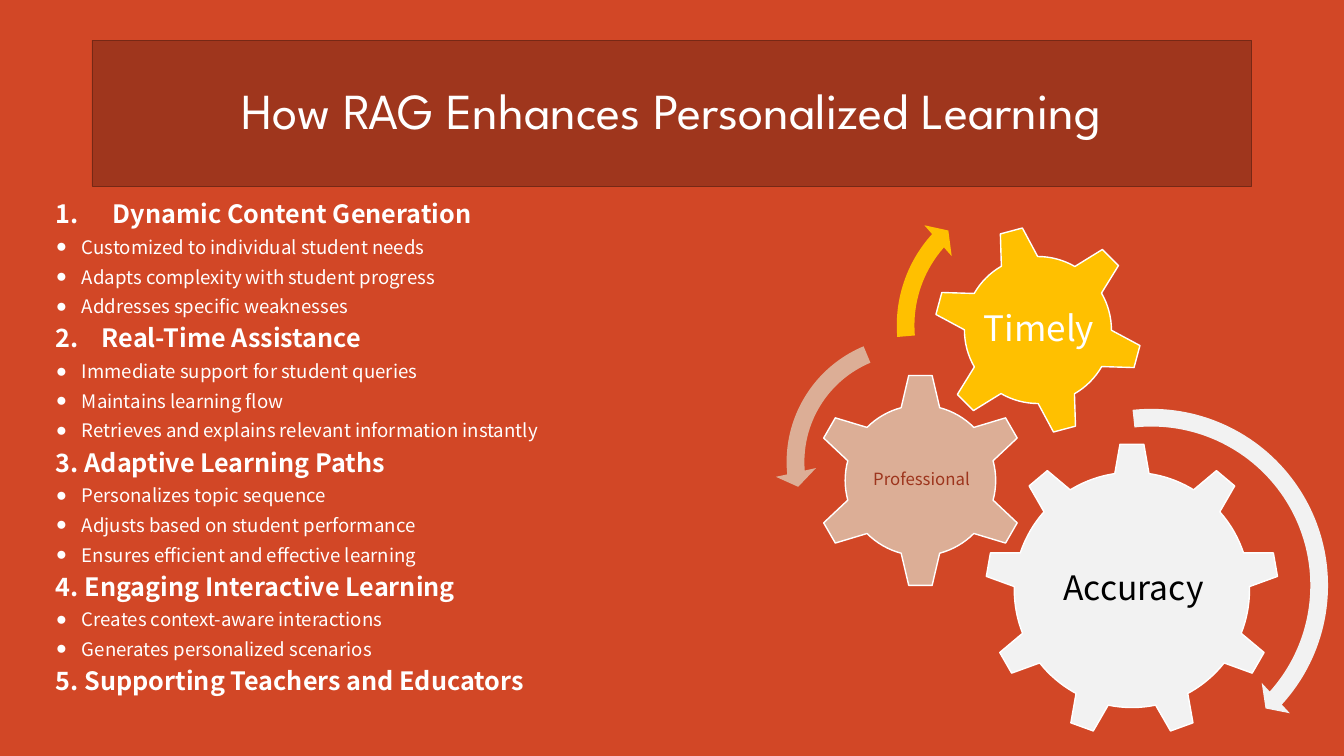
from lxml import etree
from pptx import Presentation
from pptx.dml.color import RGBColor
from pptx.enum.shapes import MSO_SHAPE as SHAPE
from pptx.enum.text import MSO_ANCHOR as ANCHOR, PP_ALIGN as ALIGN
from pptx.oxml.ns import qn
from pptx.util import Emu, Pt

PX = 12192000 / 1344  # EMU per px

ORANGE = RGBColor(0xD2, 0x47, 0x26)
BRICK = RGBColor(0x9F, 0x36, 0x1D)
BRICK_LINE = RGBColor(0x76, 0x28, 0x15)
BRICK_TEXT = RGBColor(0x9D, 0x35, 0x1D)
WHITE = RGBColor(0xFF, 0xFF, 0xFF)
BLACK = RGBColor(0, 0, 0)
PALE = RGBColor(0xF2, 0xF2, 0xF2)
TAN = RGBColor(0xDC, 0xAE, 0x96)
YELLOW = RGBColor(0xFF, 0xC0, 0x00)

TITLE_FONT = "League Spartan"
BODY_FONT = "Noto Sans CJK SC"

# Heading, gap style and bullet points of each section
SECTIONS = [
    ("Dynamic Content Generation", "number", [
        "Customized to individual student needs",
        "Adapts complexity with student progress",
        "Addresses specific weaknesses"]),
    ("2.\tReal-Time Assistance", "tab", [
        "Immediate support for student queries",
        "Maintains learning flow",
        "Retrieves and explains relevant information instantly"]),
    ("3. Adaptive Learning Paths", "plain", [
        "Personalizes topic sequence",
        "Adjusts based on student performance",
        "Ensures efficient and effective learning"]),
    ("4. Engaging Interactive Learning", "plain", [
        "Creates context-aware interactions",
        "Generates personalized scenarios"]),
    ("5. Supporting Teachers and Educators", "plain", []),
]

# Gear shape, box, rotation, fill, label, label size, label colour
GEARS = [
    (SHAPE.GEAR_9, (985, 443, 294, 294), 0, PALE, "Accuracy", 24, BLACK),
    (SHAPE.GEAR_6, (813, 373, 215, 215), 0, TAN, "Professional", 12, BRICK_TEXT),
    (SHAPE.GEAR_6, (933, 225, 210, 210), 345, YELLOW, "Timely", 25, WHITE),
]

# Arrow shape, box, fill, adjustments
ARROWS = [
    (SHAPE.CIRCULAR_ARROW, (963, 397, 377, 377), PALE,
     (0.047, 2.99, 25.3, 158.32, 0.055)),
    (SHAPE.LEFT_CIRCULAR_ARROW, (775, 325, 274, 274), TAN,
     (0.065, 4.3, 104.89, 148.38, 0.075)),
    (SHAPE.CIRCULAR_ARROW, (885, 178, 295, 295), YELLOW,
     (0.06, 3.94, 133.14, 105.08, 0.07)),
]


def px(n):
    return Emu(round(n * PX))


def set_attrs(obj, values):
    for name, value in values.items():
        setattr(obj, name, value)


def add_filled(shapes, kind, box, fill, line=None, line_width=1):
    sp = shapes.add_shape(kind, *map(px, box))
    sp.shadow.inherit = False
    sp.fill.solid()
    sp.fill.fore_color.rgb = fill
    if line is None:
        sp.line.fill.background()
    else:
        sp.line.color.rgb = line
        sp.line.width = Pt(line_width)
    return sp


def write(p, text, font, size, color, bold=False):
    r = p.add_run()
    r.text = text
    set_attrs(r.font, {"name": font, "size": Pt(size), "bold": bold})
    r.font.color.rgb = color


def write_centred(sp, text, font, size, color, inset):
    tf = sp.text_frame
    set_attrs(tf, {"word_wrap": True, "vertical_anchor": ANCHOR.MIDDLE})
    set_attrs(tf, {f"margin_{side}": px(inset)
                   for side in ("left", "top", "right", "bottom")})
    p = tf.paragraphs[0]
    set_attrs(p, {"alignment": ALIGN.CENTER, "line_spacing": 0.9})
    write(p, text, font, size, color)


def set_hanging(p, indent):
    ppr = p._p.get_or_add_pPr()
    ppr.set("marL", str(px(indent)))
    ppr.set("indent", str(-px(indent)))
    return ppr


def add_number(p):
    ppr = set_hanging(p, 57)
    etree.SubElement(ppr, qn("a:buFont"), typeface="+mj-lt")
    etree.SubElement(ppr, qn("a:buAutoNum"), type="arabicPeriod")


def add_bullet(p):
    ppr = set_hanging(p, 26)
    etree.SubElement(ppr, qn("a:buFont"), typeface="Arial")
    etree.SubElement(ppr, qn("a:buChar"), char="●")


def add_tab(p):
    tabs = etree.SubElement(p._p.get_or_add_pPr(), qn("a:tabLst"))
    etree.SubElement(tabs, qn("a:tab"), pos=str(px(46)), algn="l")


def add_outline(shapes, box):
    tf = shapes.add_textbox(*map(px, box)).text_frame
    tf.word_wrap = True
    markers = {"number": add_number, "tab": add_tab, "bullet": add_bullet}
    lines = []
    for heading, style, points in SECTIONS:
        lines.append((heading, style))
        lines += [(point, "bullet") for point in points]
    for i, (text, style) in enumerate(lines):
        p = tf.add_paragraph() if i else tf.paragraphs[0]
        set_attrs(p, {"line_spacing": 0.7, "space_before": Pt(10 if i else 0)})
        if style in markers:
            markers[style](p)
        is_point = style == "bullet"
        write(p, text, BODY_FONT, 13.3 if is_point else 18, WHITE, not is_point)


def add_gear(shapes, kind, box, rotation, fill, label, size, color):
    gear = add_filled(shapes, kind, box, fill, WHITE)
    gear.rotation = rotation
    # Label box sits inside the teeth, unrotated
    left, top, width, height = box
    inner = (left + width * 0.2, top + height * 0.24, width * 0.61, height * 0.52)
    sp = shapes.add_textbox(*map(px, inner))
    write_centred(sp, label, BODY_FONT, size, color, 3)


def add_arrow(shapes, kind, box, fill, adjustments):
    arrow = add_filled(shapes, kind, box, fill)
    for i, value in enumerate(adjustments):
        arrow.adjustments[i] = value


def main():
    prs = Presentation()
    set_attrs(prs, {"slide_width": px(1344), "slide_height": px(756)})
    s = prs.slides.add_slide(prs.slide_layouts[6])
    s.background.fill.solid()
    s.background.fill.fore_color.rgb = ORANGE

    # Title band
    title = add_filled(s.shapes, SHAPE.RECTANGLE, (92, 40, 1159, 146),
                       BRICK, BRICK_LINE, 0.5)
    write_centred(title, "How RAG Enhances Personalized Learning",
                  TITLE_FONT, 36, WHITE, 5)

    # Outline of benefits
    add_outline(s.shapes, (46, 202, 1206, 536))

    # Gears with their turning arrows
    diagram = s.shapes.add_group_shape().shapes
    for gear in GEARS:
        add_gear(diagram, *gear)
    for arrow in ARROWS:
        add_arrow(diagram, *arrow)

    prs.save("out.pptx")


if __name__ == "__main__":
    main()
